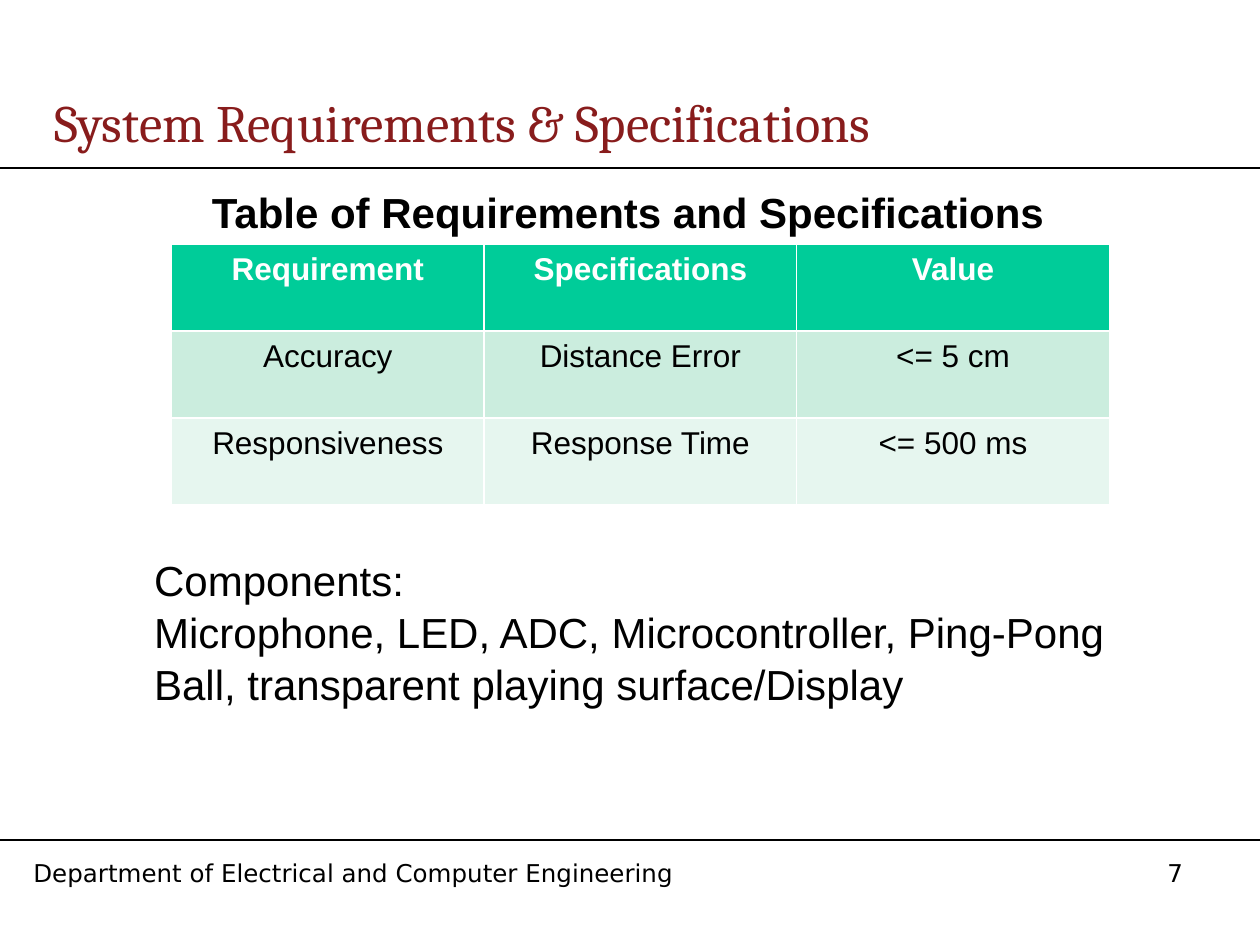
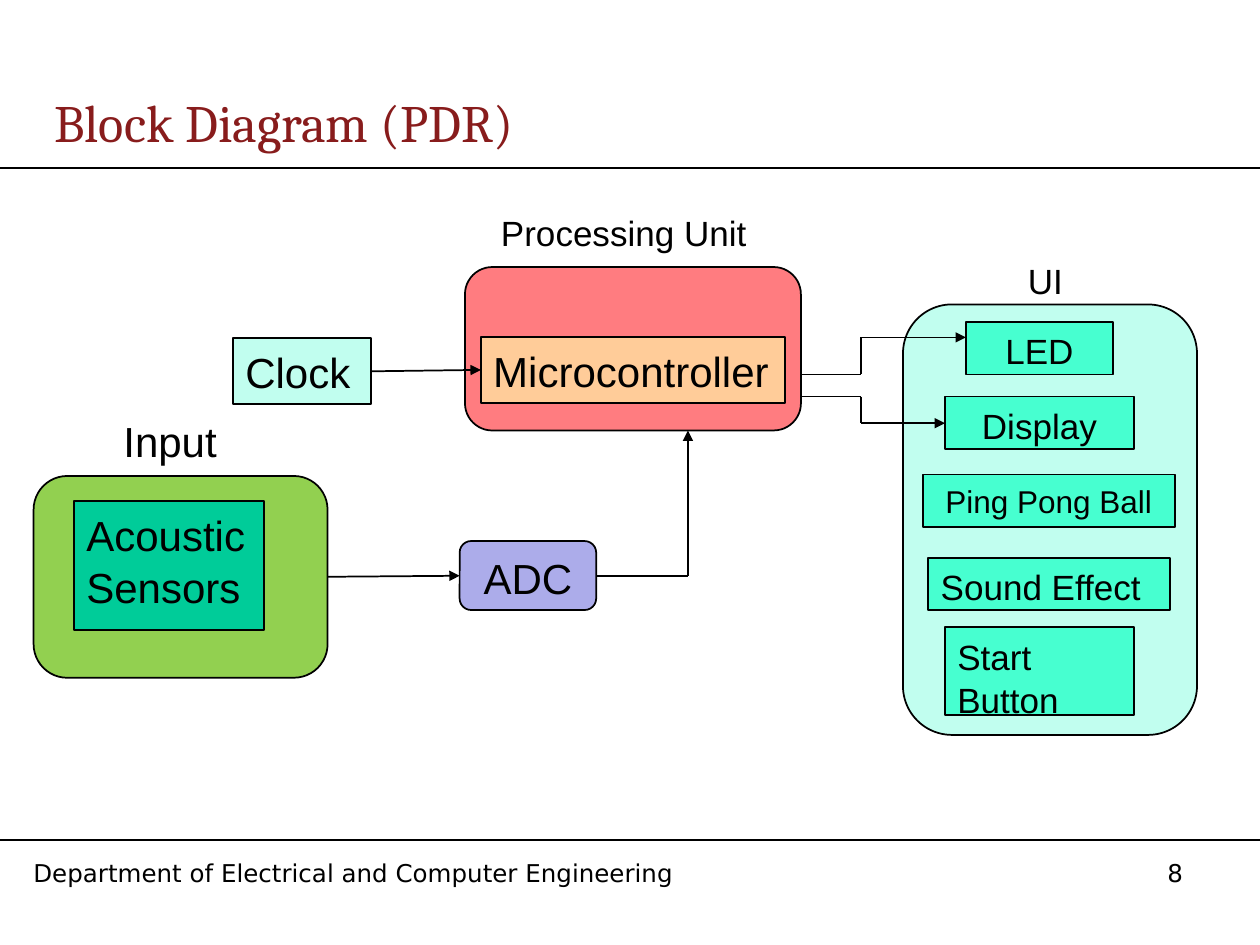
"""Build two slides: the system requirements table and the block diagram."""
import dataclasses

import lxml.etree
import pptx
import pptx.dml.color
import pptx.enum.shapes
import pptx.enum.text
import pptx.oxml.ns
import pptx.util

Pt = pptx.util.Pt
Align = pptx.enum.text.PP_ALIGN
Anchor = pptx.enum.text.MSO_ANCHOR
Shape = pptx.enum.shapes.MSO_SHAPE
LEFT, CENTER = Align.LEFT, Align.CENTER


@dataclasses.dataclass(frozen=True)
class Theme:
    """Colours, fonts and type sizes of the deck."""
    ink: str = "000000"
    white: str = "FFFFFF"
    maroon: str = "881C1C"
    green: str = "00CC99"
    bands: tuple = ("CBEDDE", "E6F6EF")
    pale: str = "C1FEEF"
    mint: str = "47FFD0"
    lilac: str = "ACACEA"
    red: str = "FF7C80"
    lime: str = "92D050"
    peach: str = "FFCC99"
    body: str = "Arial"
    serif: str = "Cambria"
    foot: str = "DejaVu Sans"
    title: int = 30
    large: int = 24
    mid: int = 20
    small: int = 18
    tiny: int = 14
    leading: float = 1.04


THEME = Theme()


def rgb(code):
    """Return the colour for a hex code."""
    return pptx.dml.color.RGBColor.from_string(code)


def write(frame, text, size, align=LEFT, font=THEME.body, color=THEME.ink, bold=False):
    """Fill a text frame, one paragraph to each line of text."""
    frame.word_wrap = True
    frame.text = text
    for para in frame.paragraphs:
        para.alignment = align
        para.line_spacing = THEME.leading
        para.font.size = Pt(size)
        para.font.name = font
        para.font.bold = bold
        para.font.color.rgb = rgb(color)


def label(slide, place, text, size, anchor=Anchor.TOP, **style):
    """Add a text box."""
    frame = slide.shapes.add_textbox(*map(Pt, place)).text_frame
    frame.vertical_anchor = anchor
    write(frame, text, size, **style)


def block(slide, place, fill, text="", size=THEME.large, align=LEFT, kind=Shape.RECTANGLE):
    """Add an outlined block with optional text."""
    shape = slide.shapes.add_shape(kind, *map(Pt, place))
    shape.shadow.inherit = False
    shape.fill.solid()
    shape.fill.fore_color.rgb = rgb(fill)
    shape.line.color.rgb = rgb(THEME.ink)
    shape.line.width = Pt(1)
    if text:
        shape.text_frame.vertical_anchor = Anchor.TOP
        write(shape.text_frame, text, size, align)


def route(slide, *points, arrow=True):
    """Join points with straight lines, the last one ending in an arrow."""
    for start, end in zip(points, points[1:]):
        line = slide.shapes.add_connector(
            pptx.enum.shapes.MSO_CONNECTOR.STRAIGHT, *map(Pt, start + end))
        line.line.color.rgb = rgb(THEME.ink)
        line.line.width = Pt(1)
        props = line.element.spPr
        if arrow and end == points[-1]:
            lxml.etree.SubElement(
                props.find(pptx.oxml.ns.qn("a:ln")),
                pptx.oxml.ns.qn("a:tailEnd"), type="triangle")
        lxml.etree.SubElement(props, pptx.oxml.ns.qn("a:effectLst"))


def grid(slide, place, rows):
    """Add the table with a dark header and tinted rows."""
    table = slide.shapes.add_table(len(rows), len(rows[0]), *map(Pt, place)).table
    fills = (THEME.green,) + THEME.bands
    for i, row in enumerate(rows):
        head = i == 0
        for j, text in enumerate(row):
            cell = table.cell(i, j)
            cell.fill.solid()
            cell.fill.fore_color.rgb = rgb(fills[i])
            write(cell.text_frame, text, THEME.small, CENTER, bold=head,
                  color=THEME.white if head else THEME.ink)


def page(deck, title, number):
    """Add a slide with its title, rules and footer."""
    slide = deck.slides.add_slide(deck.slide_layouts[6])
    for y in (96, 480):
        route(slide, (0, y), (720, y), arrow=False)
    label(slide, (24, 48, 696, 42), title, THEME.title, Anchor.MIDDLE,
          font=THEME.serif, color=THEME.maroon)
    for place, text in (
        ((12, 486, 381.6, 24), "Department of Electrical and Computer Engineering"),
        ((660, 486, 48, 24), str(number)),
    ):
        label(slide, place, text, THEME.tiny, font=THEME.foot)
    return slide


def needs(deck):
    """Build the requirements slide."""
    slide = page(deck, "System Requirements & Specifications", 7)
    grid(slide, (98, 139.4, 536, 149.2), (
        ("Requirement", "Specifications", "Value"),
        ("Accuracy", "Distance Error", "<= 5 cm"),
        ("Responsiveness", "Response Time", "<= 500 ms"),
    ))
    label(slide, (114, 102, 504, 36), "Table of Requirements and Specifications",
          THEME.large, bold=True)
    label(slide, (81, 312, 570, 94),
          "Components:\nMicrophone, LED, ADC, Microcontroller, Ping-Pong Ball, "
          "transparent playing surface/Display", THEME.large)


def diagram(deck):
    """Build the block diagram slide."""
    slide = page(deck, "Block Diagram (PDR)", 8)
    for place, fill in (
        ((516, 174, 168, 246), THEME.pale),
        ((265.7, 152.6, 192, 93.4), THEME.red),
        ((19.2, 272, 168, 115.3), THEME.lime),
    ):
        block(slide, place, fill, kind=Shape.ROUNDED_RECTANGLE)
    for place, text, size in (
        ((580.3, 144, 78, 31.5), "UI", THEME.mid),
        ((63.4, 232.6, 84, 36), "Input", THEME.large),
        ((279.2, 116.2, 186, 55), "Processing Unit", THEME.mid),
    ):
        label(slide, place, text, size)
    for x, y, width, height, text, size, align in (
        (552, 184, 84, 30, "LED", THEME.mid, CENTER),
        (540, 226.6, 108, 30, "Display", THEME.mid, CENTER),
        (527.3, 271.2, 144, 30, "Ping Pong Ball", THEME.small, CENTER),
        (530.5, 318.7, 138, 30, "Sound Effect", THEME.mid, LEFT),
        (540, 358.4, 108, 50.4, "Start Button", THEME.mid, LEFT),
    ):
        block(slide, (x, y, width, height), THEME.mint, text, size, align)
    block(slide, (262.7, 309.2, 78, 39.4), THEME.lilac, "ADC", align=CENTER,
          kind=Shape.ROUNDED_RECTANGLE)
    for place, fill, text in (
        ((42.3, 286.3, 108.5, 73.6), THEME.green, "Acoustic Sensors"),
        ((274.8, 192.5, 174, 37.7), THEME.peach, "Microcontroller"),
        ((133.1, 193.3, 79, 37.7), THEME.pale, "Clock"),
    ):
        block(slide, place, fill, text)
    for points in (
        ((187.2, 329.6), (262.7, 329)),
        ((340.7, 329), (393.1, 329), (393.1, 246)),
        ((457.7, 214), (492, 214), (492, 192.8), (552, 192.8)),
        ((457.7, 226.6), (492, 226.6), (492, 241.8), (540, 241.8)),
        ((212.1, 212.2), (274.8, 211.4)),
    ):
        route(slide, *points)


def main():
    """Build and save the deck."""
    deck = pptx.Presentation()
    deck.slide_width, deck.slide_height = Pt(720), Pt(540)
    needs(deck)
    diagram(deck)
    deck.save("out.pptx")


if __name__ == "__main__":
    main()
